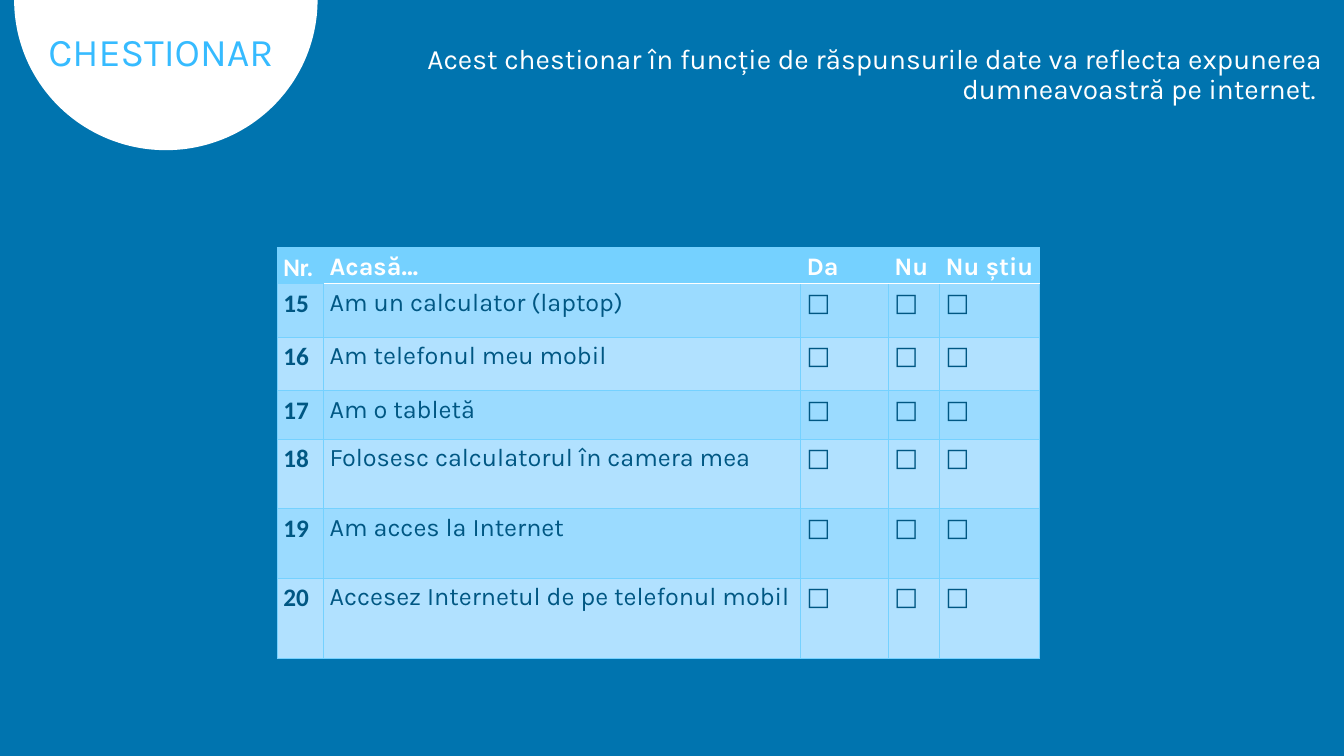
import math
from dataclasses import dataclass

from lxml import etree
from pptx import Presentation
from pptx import util as u
from pptx.dml.color import RGBColor
from pptx.enum import text
from pptx.oxml.ns import qn

WHITE, SKY, NAVY = "FFFFFF", "75D1FF", "005783"
BANDS = ("9BDBFF", "B1E1FF")
COLUMN_WIDTHS = (0.46, 4.73, 0.87, 0.51, 0.99)
HEADINGS = ("Nr.", "Acasă…", "Da", "Nu", "Nu știu")
HEADING_HEIGHT = 0.36
FIRST_NUMBER = 15
CHECKBOX = "□"


@dataclass
class Question:
    wording: str
    height: float


@dataclass
class Style:
    size: float
    color: str
    name: str = "Karla"
    bold: bool = False


@dataclass
class Edge:
    side: str
    color: str = SKY
    width: float = 0.5


QUESTIONS = (
    Question("Am un calculator (laptop)", 0.53),
    Question("Am telefonul meu mobil", 0.53),
    Question("Am o tabletă ", 0.48),
    Question("Folosesc calculatorul în camera mea", 0.69),
    Question("Am acces la Internet", 0.69),
    Question("Accesez Internetul de pe telefonul mobil", 0.8),
)


def rgb(color: str) -> RGBColor:
    return RGBColor.from_string(color)


def write(frame, wording: str, style: Style, **paragraph_format) -> None:
    paragraph = frame.paragraphs[0]
    for key, value in paragraph_format.items():
        setattr(paragraph, key, value)
    run = paragraph.add_run()
    run.text = wording
    formats = {"size": u.Pt(style.size), "name": style.name, "bold": style.bold}
    for key, value in formats.items():
        setattr(run.font, key, value)
    run.font.color.rgb = rgb(style.color)


def place(placeholder, left: float, top: float, width: float, height: float) -> None:
    box = {"left": left, "top": top, "width": width, "height": height}
    for key, value in box.items():
        setattr(placeholder, key, u.Inches(value))
    placeholder.text_frame.auto_size = text.MSO_AUTO_SIZE.NONE


def draw_half_disc(slide, center: float, radius_x: float, radius_y: float) -> None:
    steps = 90
    angles = [math.pi * step / steps for step in range(steps + 1)]
    rim = [(u.Inches(center + radius_x * math.cos(a)), u.Inches(radius_y * math.sin(a)))
           for a in angles]
    builder = slide.shapes.build_freeform(*rim[0])
    builder.add_line_segments(rim[1:], close=True)
    disc = builder.convert_to_shape()
    disc.shadow.inherit = False
    disc.fill.solid()
    disc.fill.fore_color.rgb = rgb(WHITE)
    disc.line.fill.background()


def cell_edges(row: int, column: int) -> list[Edge]:
    """Thin sky grid, white rule under the headings, thicker line after the numbers."""
    def side_width(beside_numbers: bool) -> float:
        return 1 if row and beside_numbers else 0.5

    def rule(side: str, at_heading: bool) -> Edge:
        return Edge(side, WHITE, 1) if at_heading and column else Edge(side)

    return [
        Edge("L", width=side_width(column == 1)),
        Edge("R", width=side_width(column == 0)),
        rule("T", row == 1),
        rule("B", row == 0),
    ]


def format_cell(cell, row: int, column: int, wording: str) -> None:
    properties = cell._tc.get_or_add_tcPr()
    for edge in cell_edges(row, column):
        line = etree.SubElement(properties, qn(f"a:ln{edge.side}"), w=str(u.Pt(edge.width)))
        fill = etree.SubElement(line, qn("a:solidFill"))
        etree.SubElement(fill, qn("a:srgbClr"), val=edge.color)
    cell.fill.solid()
    cell.fill.fore_color.rgb = rgb(BANDS[(row - 1) % 2] if row else SKY)
    margins = {"margin_left": 0.06, "margin_right": 0.05, "margin_top": 0, "margin_bottom": 0}
    for key, value in margins.items():
        setattr(cell, key, u.Inches(value))
    style = Style(18, NAVY if row else WHITE, "Karla" if column else "Calibri",
                  row == 0 or column == 0)
    write(cell.text_frame, wording, style, alignment=text.PP_ALIGN.JUSTIFY,
          line_spacing=1.15, space_before=u.Pt(3), space_after=u.Pt(3))


def add_questionnaire(slide) -> None:
    rows = [HEADINGS] + [
        (str(number), question.wording, CHECKBOX, CHECKBOX, CHECKBOX)
        for number, question in enumerate(QUESTIONS, FIRST_NUMBER)
    ]
    heights = [HEADING_HEIGHT] + [question.height for question in QUESTIONS]
    table = slide.shapes.add_table(
        len(rows), len(HEADINGS), u.Inches(2.75), u.Inches(2.455),
        u.Inches(sum(COLUMN_WIDTHS)), u.Inches(sum(heights))).table
    table.horz_banding = False
    for column, width in zip(table.columns, COLUMN_WIDTHS):
        column.width = u.Inches(width)
    for row, (wordings, height) in enumerate(zip(rows, heights)):
        table.rows[row].height = u.Inches(height)
        for column, wording in enumerate(wordings):
            format_cell(table.cell(row, column), row, column, wording)


def main() -> None:
    deck = Presentation()
    deck.slide_width, deck.slide_height = u.Inches(13.33), u.Inches(7.5)
    slide = deck.slides.add_slide(deck.slide_layouts[1])
    slide.background.fill.solid()
    slide.background.fill.fore_color.rgb = rgb("0074AF")
    heading, introduction = slide.placeholders

    draw_half_disc(slide, 1.645, 1.505, 1.49)
    disc = slide.shapes[-1]
    heading.element.addprevious(disc.element)

    place(heading, 0.38, 0.27, 3.25, 0.53)
    heading.text_frame.vertical_anchor = text.MSO_ANCHOR.MIDDLE
    write(heading.text_frame, "CHESTIONAR", Style(28, "36BBFF"),
          alignment=text.PP_ALIGN.LEFT, line_spacing=0.9)

    place(introduction, 3.06, 0.4, 10.16, 0.71)
    write(introduction.text_frame,
          "Acest chestionar în funcție de răspunsurile date va reflecta "
          "expunerea dumneavoastră pe internet. ",
          Style(20, WHITE), alignment=text.PP_ALIGN.RIGHT, line_spacing=0.9,
          space_before=u.Pt(0))
    bullet_format = introduction.text_frame.paragraphs[0]._p.get_or_add_pPr()
    for key in ("marL", "indent"):
        bullet_format.set(key, "0")
    etree.SubElement(bullet_format, qn("a:buNone"))

    add_questionnaire(slide)
    deck.save("out.pptx")


if __name__ == "__main__":
    main()
